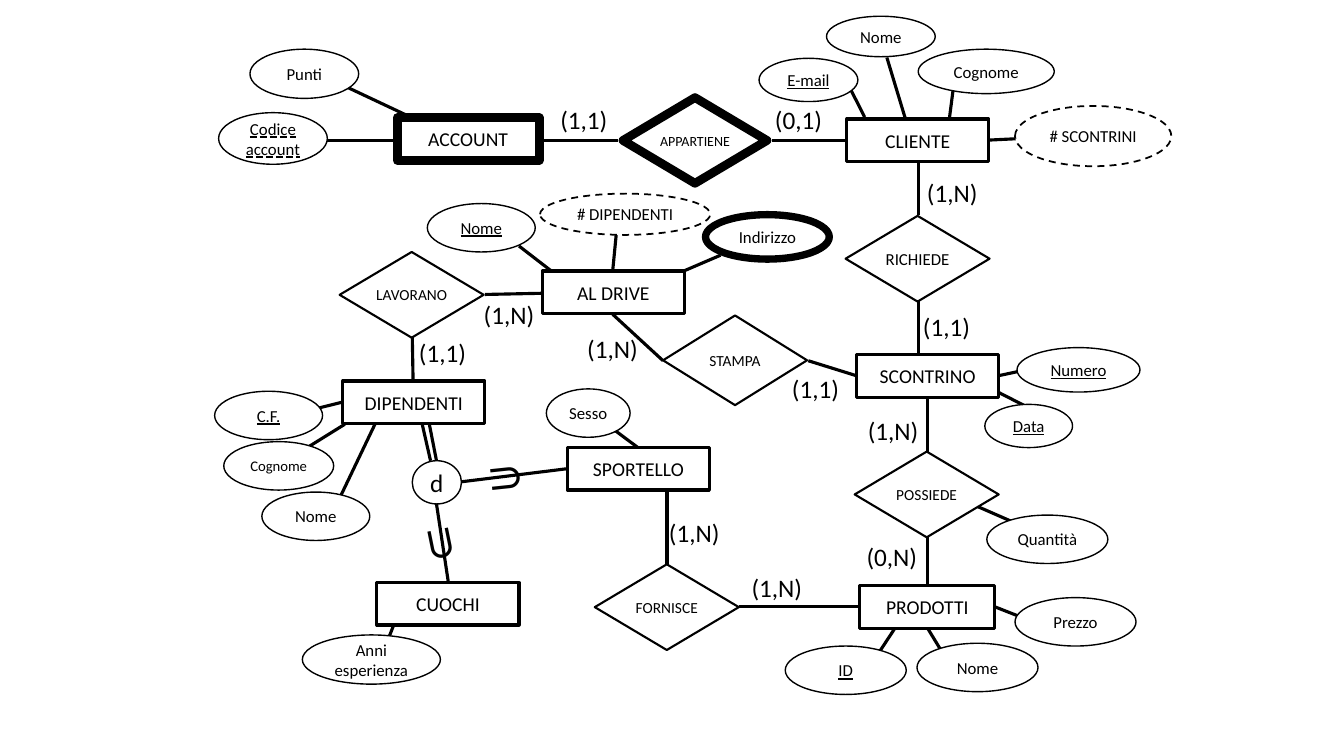
from lxml import etree
from pptx import Presentation
from pptx.dml.color import RGBColor
from pptx.enum.dml import MSO_LINE
from pptx.enum.shapes import MSO_CONNECTOR, MSO_SHAPE
from pptx.enum.text import MSO_ANCHOR, MSO_UNDERLINE, PP_ALIGN
from pptx.oxml.ns import qn
from pptx.util import Cm, Pt

BLACK = RGBColor(0x00, 0x00, 0x00)
WHITE = RGBColor(0xFF, 0xFF, 0xFF)
RECTANGLE, DIAMOND, ELLIPSE = MSO_SHAPE.RECTANGLE, MSO_SHAPE.DIAMOND, MSO_SHAPE.OVAL
STRAIGHT = MSO_CONNECTOR.STRAIGHT
DASH = MSO_LINE.DASH
DASHED_KEY = MSO_UNDERLINE.DASH_LINE
MIDDLE, TOP = MSO_ANCHOR.MIDDLE, MSO_ANCHOR.TOP
CENTER, LEFT = PP_ALIGN.CENTER, PP_ALIGN.LEFT

prs = Presentation()
prs.slide_width, prs.slide_height = Cm(33.87), Cm(19.05)
slide = prs.slides.add_slide(prs.slide_layouts[6])


def add_node(text, left, top, width, height, outline=None, size=12, weight=1,
             dash=None, underline=None, margin=None, rotation=0):
    box = Cm(left), Cm(top), Cm(width), Cm(height)
    if outline is None:
        node = slide.shapes.add_textbox(*box)
    else:
        node = slide.shapes.add_shape(outline, *box)
        node.shadow.inherit = False
        node.fill.solid()
        node.fill.fore_color.rgb = WHITE
        node.line.color.rgb = BLACK
        node.line.width = Pt(weight)
        if dash is not None:
            node.line.dash_style = dash
    node.rotation = rotation
    frame = node.text_frame
    frame.word_wrap = True
    frame.vertical_anchor = TOP if outline is None else MIDDLE
    if margin is not None:
        frame.margin_left = frame.margin_right = Cm(margin)
        frame.margin_top = frame.margin_bottom = Cm(margin)
    paragraph = frame.paragraphs[0]
    paragraph.alignment = LEFT if outline is None else CENTER
    run = paragraph.add_run()
    run.text = text
    run.font.name = "Calibri"
    run.font.size = Pt(size)
    run.font.color.rgb = BLACK
    run.font.underline = underline


links = [
    (10.82, 10.69, 11.0, 11.61), (10.64, 10.69, 10.85, 11.61),
    (11.3, 14.68, 11.0, 12.7), (11.63, 12.14, 14.3, 11.81),
    (18.62, 15.29, 21.67, 15.29), (16.81, 12.4, 16.81, 14.22),
    (13.69, 3.53, 15.57, 3.53), (19.46, 3.53, 21.36, 3.53),
    (23.14, 4.06, 23.14, 5.41), (23.14, 7.57, 23.14, 8.89),
    (26.09, 9.27, 25.15, 9.47), (26.09, 10.36, 25.15, 9.88),
    (23.93, 2.95, 24.03, 2.18), (22.35, 1.45, 22.81, 2.97),
    (21.44, 2.26, 21.79, 2.95), (8.71, 2.18, 10.24, 2.9),
    (8.15, 3.53, 9.96, 3.53), (8.69, 10.69, 7.29, 11.56),
    (8.64, 10.13, 8.0, 10.29), (9.45, 10.69, 8.56, 12.55),
    (23.37, 15.82, 24.1, 17.02), (22.56, 15.82, 21.77, 17.02),
    (16.08, 11.28, 15.06, 10.52), (10.01, 15.52, 9.5, 16.84),
    (10.39, 8.48, 10.41, 9.6), (12.22, 7.42, 13.67, 7.39),
    (15.44, 7.92, 16.71, 9.09), (20.37, 9.09, 21.59, 9.47),
    (23.37, 13.54, 23.37, 14.76), (23.37, 10.01, 23.37, 11.38),
    (15.44, 6.83, 15.57, 5.49), (24.92, 3.53, 26.95, 3.43),
    (16.46, 7.16, 18.16, 6.43), (14.0, 6.91, 13.08, 6.2),
    (24.49, 12.7, 26.87, 13.74), (25.07, 15.29, 26.57, 15.88),
]
for ends in links:
    link = slide.shapes.add_connector(STRAIGHT, *map(Cm, ends))
    link.line.color.rgb = BLACK
    link.line.width = Pt(2.25)
    etree.SubElement(link._element.spPr, qn("a:effectLst"))

attributes = [
    ("Numero", 25.63, 8.76, 3.1, 1.12, {"underline": True}),
    ("Cognome", 23.14, 1.24, 3.43, 1.12, {}),
    ("Nome", 20.83, 0.41, 2.74, 1.02, {}),
    ("E-mail", 19.13, 1.47, 2.49, 1.09, {"underline": True}),
    ("Punti", 6.3, 1.24, 2.74, 1.24, {}),
    ("Codice account", 5.51, 2.84, 2.74, 1.3, {"underline": DASHED_KEY}),
    ("Data", 24.82, 10.19, 2.21, 1.09, {"underline": True}),
    ("Nome", 6.6, 12.4, 2.72, 1.22, {}),
    ("Cognome", 5.64, 11.13, 2.77, 1.22, {"size": 10.5}),
    ("C.F.", 5.41, 9.86, 2.72, 1.22, {"underline": True}),
    ("Nome", 23.11, 16.21, 3.05, 1.22, {}),
    ("ID", 19.79, 16.28, 3.05, 1.22, {"underline": True}),
    ("Sesso", 13.77, 9.8, 2.11, 1.22, {}),
    ("Anni esperienza", 7.62, 16.0, 3.48, 1.24, {}),
    ("d", 10.39, 11.61, 1.24, 1.09, {"size": 18}),
    ("# DIPENDENTI", 13.61, 4.88, 4.29, 1.04, {"weight": 1.25, "dash": DASH}),
    ("# SCONTRINI", 25.58, 2.67, 3.94, 1.52, {"weight": 1.25, "dash": DASH}),
    ("Indirizzo", 17.78, 5.41, 3.12, 1.12, {"weight": 5.25}),
    ("Nome", 10.77, 5.13, 2.72, 1.22, {"underline": True}),
    ("Quantità", 24.87, 12.98, 3.05, 1.22, {}),
    ("Prezzo", 25.58, 15.06, 3.05, 1.22, {}),
]
for name, left, top, width, height, style in attributes:
    add_node(name, left, top, width, height, outline=ELLIPSE, **style)

entities = [
    ("PRODOTTI", 21.67, 14.76, 3.4, 2.25),
    ("SPORTELLO", 14.3, 11.28, 3.58, 2.25),
    ("ACCOUNT", 10.01, 2.97, 3.58, 6.25),
    ("DIPENDENTI", 8.64, 9.6, 3.58, 2.25),
    ("CLIENTE", 21.34, 3.0, 3.58, 2.25),
    ("AL DRIVE", 13.67, 6.83, 3.58, 2.25),
    ("SCONTRINO", 21.59, 8.94, 3.58, 2.25),
    ("CUOCHI", 9.5, 14.68, 3.58, 2.25),
]
for name, left, top, width, weight in entities:
    add_node(name, left, top, width, 1.07, outline=RECTANGLE, size=14, weight=weight)

relationships = [
    ("APPARTIENE", 15.7, 2.46, 2.16, 10, 6.25),
    ("RICHIEDE", 21.31, 5.44, 2.16, 12, 1.5),
    ("LAVORANO", 8.56, 6.35, 2.16, 11, 1.5),
    ("STAMPA", 16.71, 7.95, 2.26, 11, 1.5),
    ("FORNISCE", 14.99, 14.22, 2.16, 11, 1.5),
    ("POSSIEDE", 21.54, 11.38, 2.16, 11, 1.5),
]
for name, left, top, height, size, weight in relationships:
    add_node(name, left, top, 3.63, height, outline=DIAMOND, size=size,
             weight=weight, margin=0)

cardinalities = [
    ("(1,1)", 13.87, 2.51), ("(0,1)", 19.28, 2.51), ("(1,N)", 23.11, 4.34),
    ("(1,1)", 23.01, 7.72), ("(1,1)", 19.71, 9.27), ("(1,N)", 14.55, 8.28),
    ("(1,1)", 10.31, 8.38), ("(1,N)", 11.94, 7.42), ("(1,N)", 21.62, 10.34),
    ("(0,N)", 21.59, 13.51), ("(1,N)", 16.61, 12.9), ("(1,N)", 18.69, 14.3),
]
for cardinality, left, top in cardinalities:
    add_node(cardinality, left, top, 1.8, 1.02, size=18)

for left, top, width, rotation in [(11.02, 12.5, 0.18, 78.5), (12.01, 11.18, 0.94, 353.9)]:
    add_node("⊃", left, top, width, 1.63, size=32, rotation=rotation)

prs.save("out.pptx")
